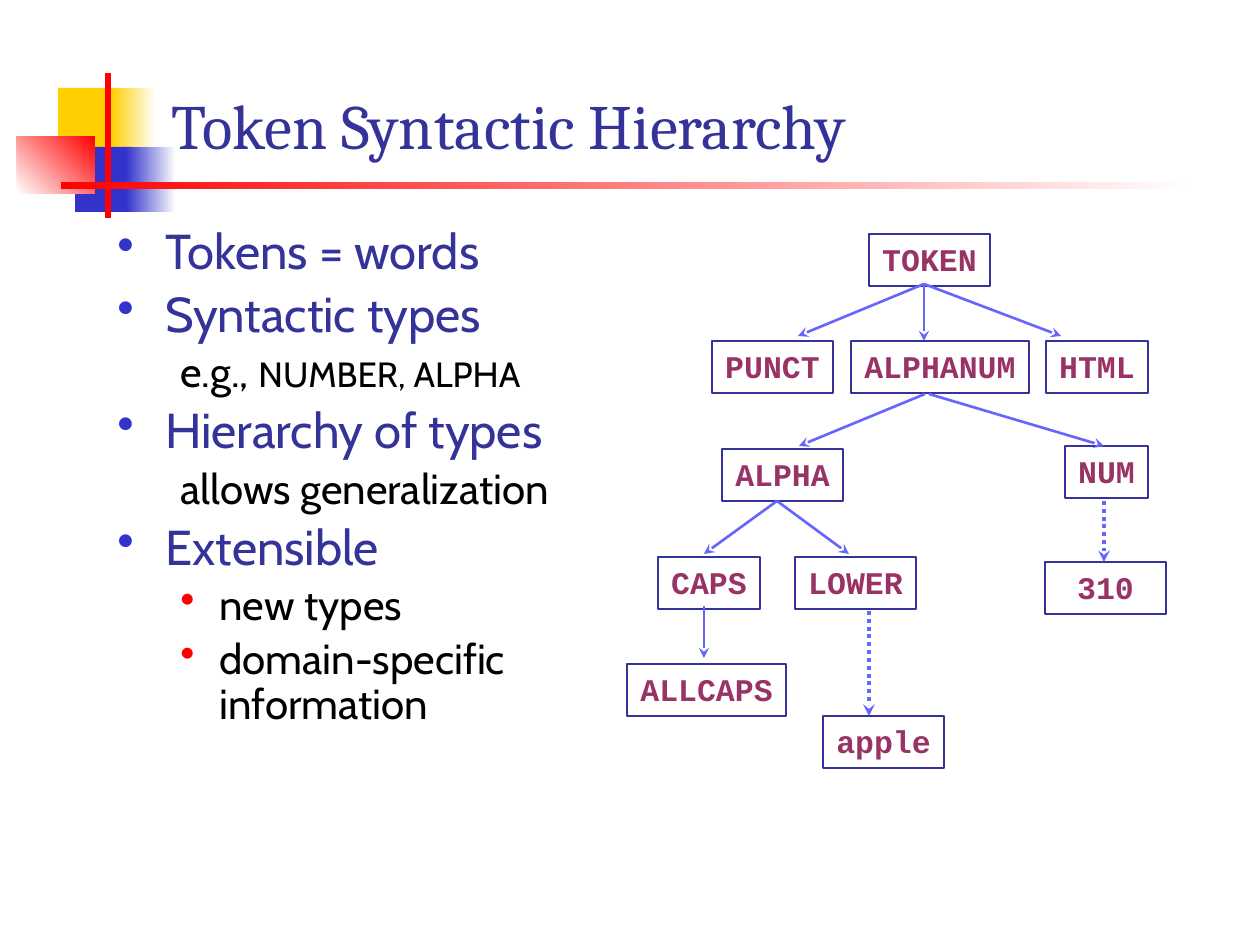
"""Build the token syntactic hierarchy slide."""
from dataclasses import dataclass

from lxml.etree import SubElement
from pptx import Presentation
from pptx.dml.color import RGBColor
from pptx.enum.dml import MSO_LINE_DASH_STYLE as Dash
from pptx.enum.shapes import MSO_CONNECTOR as Connector, MSO_SHAPE as Shape
from pptx.enum.text import MSO_ANCHOR as Anchor, MSO_AUTO_SIZE as AutoSize, PP_ALIGN as Align
from pptx.oxml.ns import qn
from pptx.util import Pt


@dataclass(frozen=True)
class Theme:
    navy: str = "333399"
    blue: str = "3333CC"
    arrow: str = "6666FF"
    plum: str = "993366"
    yellow: str = "FFCF01"
    red: str = "FF0000"
    black: str = "000000"
    white: str = "FFFFFF"
    title_font: str = "Cambria"
    body_font: str = "Cabin"
    node_font: str = "Courier New"
    title_size: int = 36
    topic_size: int = 28
    detail_size: int = 24
    small_size: int = 20
    node_size: int = 18


THEME = Theme()
EMU_PER_PX = 914400 / 126
TITLE = "Token Syntactic Hierarchy"

DECORATION = [
    ((58, 88, 60, 66), (THEME.yellow,), 0),
    ((111, 88, 45, 66), (THEME.yellow, THEME.white), 0),
    ((75, 147, 58, 65), (THEME.blue,), 0),
    ((126, 147, 50, 65), (THEME.blue, THEME.white), 0),
    ((17, 136, 78, 58), (THEME.white, THEME.red), 45),
    ((105, 73, 6, 145), (THEME.red,), 0),
    ((61, 182, 1134, 7), (THEME.red, THEME.white), 0),
]

TOPIC, NOTE, ITEM = "topic", "note", "item"
STYLES = {
    TOPIC: dict(size=THEME.topic_size, color=THEME.navy, bullet=THEME.blue, margin=48, indent=-48),
    NOTE: dict(size=THEME.detail_size, color=THEME.black, bullet=None, margin=102, indent=-39),
    ITEM: dict(size=THEME.detail_size, color=THEME.black, bullet=THEME.red, margin=102, indent=-39),
}
BODY = [
    (TOPIC, [("Tokens = words", None)]),
    (TOPIC, [("Syntactic types", None)]),
    (NOTE, [("e.g., ", None), ("NUMBER, ALPHA", THEME.small_size)]),
    (TOPIC, [("Hierarchy of types", None)]),
    (NOTE, [("allows generalization", None)]),
    (TOPIC, [("Extensible", None)]),
    (ITEM, [("new types", None)]),
    (ITEM, [("domain-specific information", None)]),
]

NODE_HEIGHT, NODE_PADDING, CHARACTER_WIDTH = 52, 26, 19
NODES = [
    ("TOKEN", 869, 234),
    ("PUNCT", 712, 341),
    ("ALPHANUM", 851, 341),
    ("HTML", 1046, 341),
    ("ALPHA", 722, 449),
    ("NUM", 1065, 446),
    ("CAPS", 658, 557),
    ("LOWER", 795, 557),
    ("ALLCAPS", 627, 664),
    ("apple", 823, 716),
    ("310", 1045, 562),
]
WIDE_NODES = {"310": 121}

SUBTYPE_ARROWS = [
    ((924, 284), (798, 336)),
    ((924, 284), (924, 341)),
    ((924, 284), (1061, 336)),
    ((925, 394), (799, 446)),
    ((929, 394), (1104, 446)),
    ((777, 501), (704, 554)),
    ((777, 501), (849, 554)),
    ((704, 606), (704, 658)),
]
EXAMPLE_ARROWS = [
    ((869, 611), (869, 716)),
    ((1104, 501), (1104, 562)),
]


def px(value):
    return round(value * EMU_PER_PX)


def rgb(color):
    return RGBColor.from_string(color)


def add_run(paragraph, text, font, size, color, bold=False):
    run = paragraph.add_run()
    run.text = text
    run.font.name = font
    run.font.size = Pt(size)
    run.font.bold = bold
    run.font.color.rgb = rgb(color)


def add_rectangle(slide, box):
    shape = slide.shapes.add_shape(Shape.RECTANGLE, *map(px, box))
    shape.shadow.inherit = False
    return shape


def add_decoration(slide, box, colors, angle):
    shape = add_rectangle(slide, box)
    shape.line.fill.background()
    if len(colors) == 1:
        shape.fill.solid()
        shape.fill.fore_color.rgb = rgb(colors[0])
        return
    shape.fill.gradient()
    shape.fill.gradient_angle = angle
    for position, (stop, color) in enumerate(zip(shape.fill.gradient_stops, colors)):
        stop.position = position
        stop.color.rgb = rgb(color)


def format_title(slide):
    title = slide.shapes.title
    title.left, title.top, title.width, title.height = map(px, (159, 63, 1074, 105))
    frame = title.text_frame
    frame.auto_size = AutoSize.NONE
    frame.vertical_anchor = Anchor.BOTTOM
    paragraph = frame.paragraphs[0]
    paragraph.alignment = Align.LEFT
    add_run(paragraph, TITLE, THEME.title_font, THEME.title_size, THEME.navy)


def format_bullet(paragraph, color, margin, indent):
    properties = paragraph._p.get_or_add_pPr()
    properties.set("marL", str(px(margin)))
    properties.set("indent", str(px(indent)))
    if color is None:
        SubElement(properties, qn("a:buNone"))
        return
    bullet_color = SubElement(properties, qn("a:buClr"))
    SubElement(bullet_color, qn("a:srgbClr"), val=color)
    SubElement(properties, qn("a:buChar"), char="•")


def add_body(slide):
    frame = slide.shapes.add_textbox(*map(px, (105, 221, 611, 546))).text_frame
    frame.word_wrap = True
    for index, (kind, runs) in enumerate(BODY):
        style = STYLES[kind]
        paragraph = frame.add_paragraph() if index else frame.paragraphs[0]
        paragraph.line_spacing = 0.9
        paragraph.space_before = Pt(0.2 * style["size"])
        format_bullet(paragraph, style["bullet"], style["margin"], style["indent"])
        for text, size in runs:
            add_run(paragraph, text, THEME.body_font, size or style["size"], style["color"])


def add_node(slide, label, left, top):
    width = WIDE_NODES.get(label, NODE_PADDING + CHARACTER_WIDTH * len(label))
    shape = add_rectangle(slide, (left, top, width, NODE_HEIGHT))
    shape.fill.background()
    shape.line.color.rgb = rgb(THEME.navy)
    shape.line.width = Pt(0.75)
    frame = shape.text_frame
    frame.word_wrap = False
    frame.vertical_anchor = Anchor.TOP
    paragraph = frame.paragraphs[0]
    paragraph.alignment = Align.CENTER
    add_run(paragraph, label, THEME.node_font, THEME.node_size, THEME.plum, bold=True)


def add_arrow(slide, start, end, width, dash=None):
    arrow = slide.shapes.add_connector(Connector.STRAIGHT, *map(px, start + end))
    arrow.line.color.rgb = rgb(THEME.arrow)
    arrow.line.width = Pt(width)
    if dash:
        arrow.line.dash_style = dash
    SubElement(arrow.line._get_or_add_ln(), qn("a:tailEnd"), type="stealth")
    SubElement(arrow._element.spPr, qn("a:effectLst"))


def main():
    presentation = Presentation()
    presentation.slide_width, presentation.slide_height = px(1260), px(945)
    slide = presentation.slides.add_slide(presentation.slide_layouts[5])
    for decoration in DECORATION:
        add_decoration(slide, *decoration)
    format_title(slide)
    add_body(slide)
    for node in NODES:
        add_node(slide, *node)
    for start, end in SUBTYPE_ARROWS:
        add_arrow(slide, start, end, 1.5)
    for start, end in EXAMPLE_ARROWS:
        add_arrow(slide, start, end, 2.25, Dash.ROUND_DOT)
    presentation.save("out.pptx")


if __name__ == "__main__":
    main()
